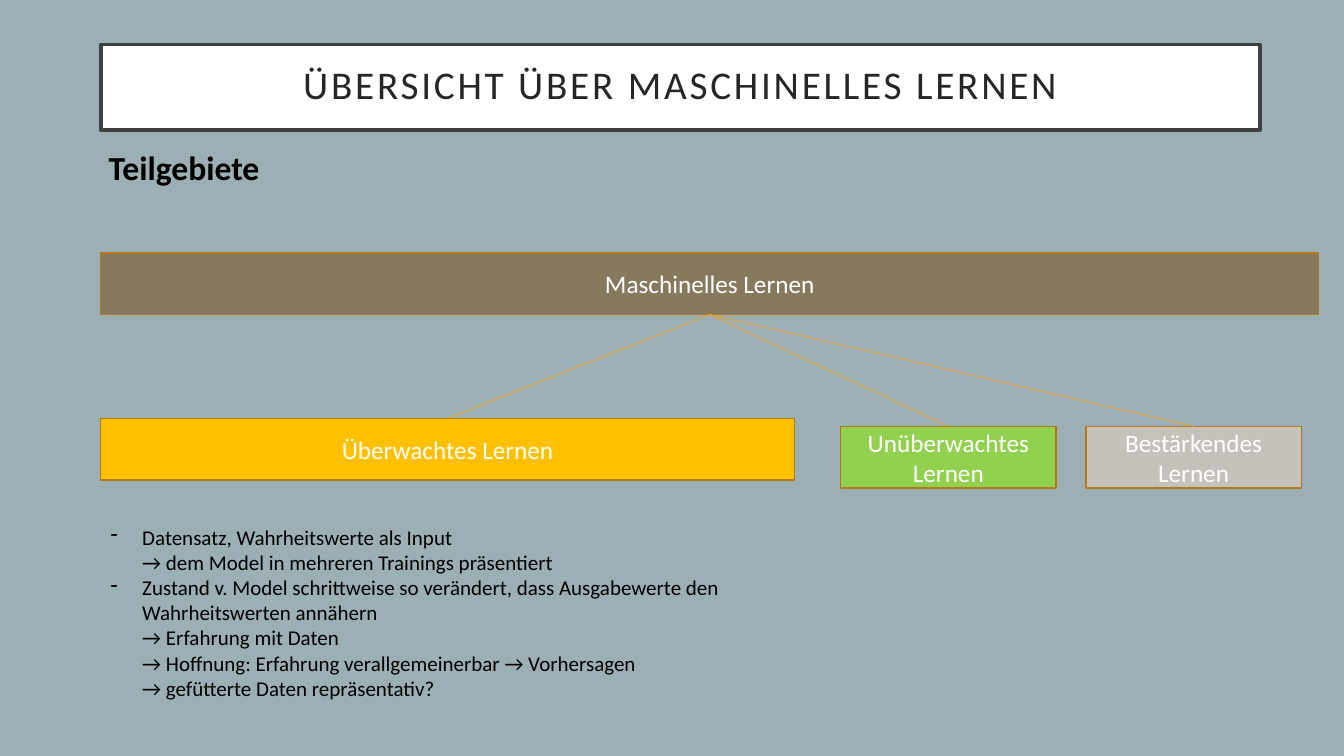
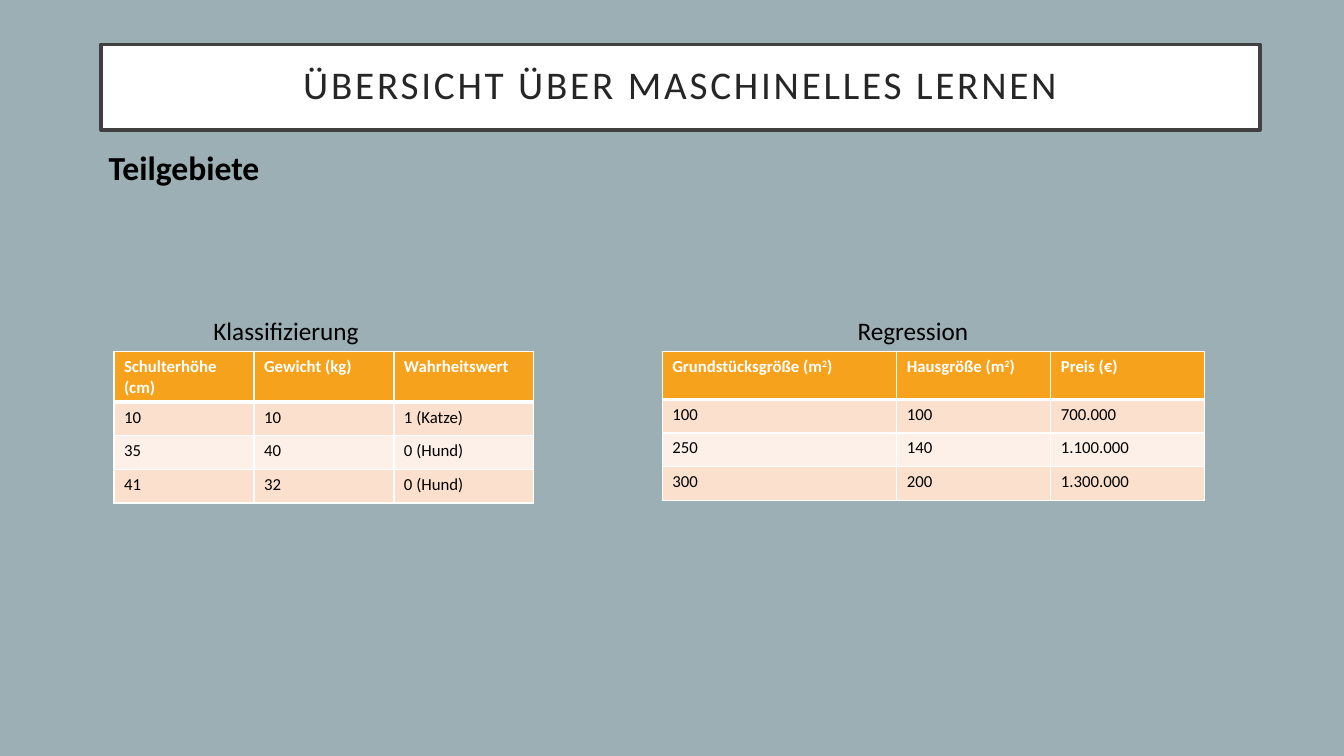
"""Builds two slides on the branches of machine learning."""
from lxml import etree
from pptx import Presentation
from pptx.dml.color import RGBColor
from pptx.enum.shapes import MSO_CONNECTOR, MSO_SHAPE
from pptx.enum.text import MSO_ANCHOR, MSO_AUTO_SIZE, PP_ALIGN
from pptx.oxml.ns import qn
from pptx.util import Pt

RECT = MSO_SHAPE.RECTANGLE
LINE = MSO_CONNECTOR.STRAIGHT
MIDDLE = MSO_ANCHOR.MIDDLE
CENTER = PP_ALIGN.CENTER
FIT = MSO_AUTO_SIZE.SHAPE_TO_FIT_TEXT

FONT = "Calibri"
BACK, WHITE, BLACK = "9BAFB5", "FFFFFF", "000000"
INK, FRAME = "262626", "404040"
ORANGE, RUST = "F6A21D", "B67815"
BROWN, GOLD, GREEN, GRAY = "87795D", "FFC000", "92D050", "C6C1BA"
BANDS = "FBE0CD", "FDF0E8"

LEFT = 72
HANG = 22.5
TABLE_TOP = 251.3
SIDES = "lnL", "lnR", "lnT", "lnB"

POINTS = (
    ("Datensatz, Wahrheitswerte als Input",
     "→ dem Model in mehreren Trainings präsentiert"),
    ("Zustand v. Model schrittweise so verändert, dass Ausgabewerte "
     "den Wahrheitswerten annähern",
     "→ Erfahrung mit Daten",
     "→ Hoffnung: Erfahrung verallgemeinerbar → Vorhersagen",
     "→ gefütterte Daten repräsentativ?"),
)
PETS = (
    ("Schulterhöhe (cm)", "Gewicht (kg)", "Wahrheitswert"),
    ("10", "10", "1 (Katze)"),
    ("35", "40", "0 (Hund)"),
    ("41", "32", "0 (Hund)"),
)
HOMES = (
    ("Grundstücksgröße (m|2|)", "Hausgröße (m|2|)", "Preis (€)"),
    ("100", "100", "700.000"),
    ("250", "140", "1.100.000"),
    ("300", "200", "1.300.000"),
)


def rgb(color):
    """Turn a hex string into a colour."""
    return RGBColor.from_string(color)


def paint(fill, color):
    """Set a solid fill."""
    fill.solid()
    fill.fore_color.rgb = rgb(color)


def write(par, text, size, color, bold=False):
    """Add one run and return it."""
    run = par.add_run()
    run.text = text
    font = run.font
    font.name, font.size, font.bold = FONT, Pt(size), bold
    font.color.rgb = rgb(color)
    return run


def write_lines(par, lines, size, color):
    """Add runs that are parted by line breaks."""
    for i, line in enumerate(lines):
        if i:
            par.add_line_break()
        write(par, line, size, color)


def add_box(slide, place, fill, edge, width):
    """Add a framed rectangle with centred text."""
    box = slide.shapes.add_shape(RECT, *map(Pt, place))
    box.shadow.inherit = False
    paint(box.fill, fill)
    box.line.color.rgb = rgb(edge)
    box.line.width = Pt(width)
    frame = box.text_frame
    frame.word_wrap = True
    frame.vertical_anchor = MIDDLE
    frame.paragraphs[0].alignment = CENTER
    return box


def add_node(slide, place, fill, *lines):
    """Add a labelled box of the tree."""
    box = add_box(slide, place, fill, RUST, 1)
    write_lines(box.text_frame.paragraphs[0], lines, 18, WHITE)
    return box


def add_link(slide, root, node):
    """Join the bottom of one box to the top of another."""
    link = slide.shapes.add_connector(LINE, 0, 0, 0, 0)
    link.begin_connect(root, 2)
    link.end_connect(node, 0)
    link.line.color.rgb = rgb(ORANGE)
    link.line.width = Pt(0.5)
    etree.SubElement(link._element.spPr, qn("a:effectLst"))


def add_label(slide, place, text, size, bold=False):
    """Add a text box of one line."""
    frame = slide.shapes.add_textbox(*map(Pt, place)).text_frame
    frame.word_wrap = False
    frame.auto_size = FIT
    write(frame.paragraphs[0], text, size, BLACK, bold)


def add_list(slide, place, items):
    """Add a list with dashes."""
    frame = slide.shapes.add_textbox(*map(Pt, place)).text_frame
    frame.word_wrap = True
    frame.auto_size = FIT
    for i, lines in enumerate(items):
        par = frame.add_paragraph() if i else frame.paragraphs[0]
        props = par._p.get_or_add_pPr()
        props.set("marL", str(Pt(HANG)))
        props.set("indent", str(-Pt(HANG)))
        etree.SubElement(props, qn("a:buChar"), char="-")
        write_lines(par, lines, 15, BLACK)


def rule_cell(cell, row):
    """Draw white cell borders, thick under the head."""
    props = cell._tc.get_or_add_tcPr()
    for side in SIDES:
        thick = (row, side) in ((0, "lnB"), (1, "lnT"))
        line = etree.SubElement(props, qn("a:" + side), w=str(Pt(3 if thick else 1)))
        fill = etree.SubElement(line, qn("a:solidFill"))
        etree.SubElement(fill, qn("a:srgbClr"), val=WHITE)


def add_grid(slide, left, widths, rows):
    """Add a banded table; text between bars is raised."""
    heights = [34] + [24] * (len(rows) - 1)
    place = left, TABLE_TOP, sum(widths), sum(heights)
    table = slide.shapes.add_table(
        len(rows), len(widths), *map(Pt, place)).table
    for col, width in zip(table.columns, widths):
        col.width = Pt(width)
    for r, texts in enumerate(rows):
        head = r == 0
        table.rows[r].height = Pt(heights[r])
        for c, text in enumerate(texts):
            cell = table.cell(r, c)
            rule_cell(cell, r)
            paint(cell.fill, ORANGE if head else BANDS[(r - 1) % 2])
            par = cell.text_frame.paragraphs[0]
            for i, part in enumerate(text.split("|")):
                run = write(par, part, 12, WHITE if head else BLACK, head)
                if i % 2:
                    run._r.get_or_add_rPr().set("baseline", "30000")


def add_slide(deck):
    """Start a slide with the shared title and heading."""
    slide = deck.slides.add_slide(deck.slide_layouts[6])
    box = add_box(slide, (LEFT, 31.7, 828, 61.2), WHITE, FRAME, 2.5)
    frame = box.text_frame
    frame.margin_left = frame.margin_right = Pt(14.4)
    frame.margin_top = frame.margin_bottom = Pt(14.4)
    par = frame.paragraphs[0]
    par.line_spacing = 0.9
    run = write(par, "ÜBERSICHT ÜBER MASCHINELLES LERNEN", 28, INK)
    run._r.get_or_add_rPr().set("spc", "200")
    add_label(slide, (70.6, 101.5, 138, 36), "Teilgebiete", 24, True)
    return slide


def draw_tree(slide):
    """Draw the branches and the notes on the first."""
    root = add_node(slide, (LEFT, 180.7, 870, 44), BROWN, "Maschinelles Lernen")
    nodes = (
        add_node(slide, (LEFT, 298.8, 495.4, 44), GOLD, "Überwachtes Lernen"),
        add_node(slide, (600.4, 304.6, 154, 44), GREEN, "Unüberwachtes", "Lernen"),
        add_node(slide, (775.6, 304.6, 154, 44), GRAY, "Bestärkendes Lernen"),
    )
    for node in nodes:
        add_link(slide, root, node)
    add_list(slide, (LEFT, 370.8, 456, 134.6), POINTS)


def draw_grids(slide):
    """Draw the two sample tables."""
    add_grid(slide, 81.4, (100, 100, 100), PETS)
    add_grid(slide, 473, (167.6, 110, 110), HOMES)
    add_label(slide, (145.4, 221.8, 139.7, 29), "Klassifizierung", 18)
    add_label(slide, (605.5, 221.8, 110.2, 29), "Regression", 18)


def main():
    """Build and save the deck."""
    deck = Presentation()
    deck.slide_width, deck.slide_height = Pt(960), Pt(540)
    paint(deck.slide_master.background.fill, BACK)
    draw_tree(add_slide(deck))
    draw_grids(add_slide(deck))
    deck.save("out.pptx")


if __name__ == "__main__":
    main()
